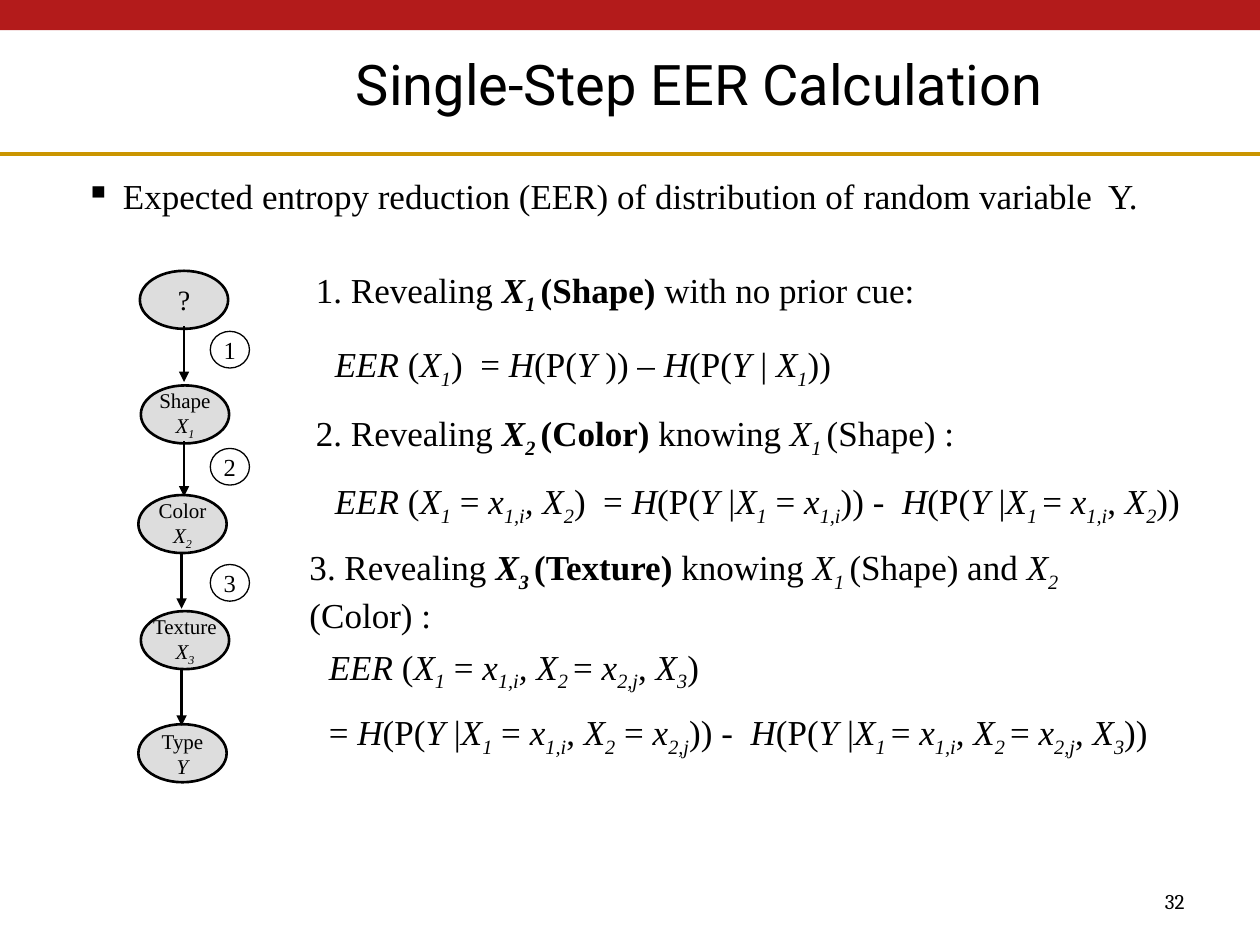
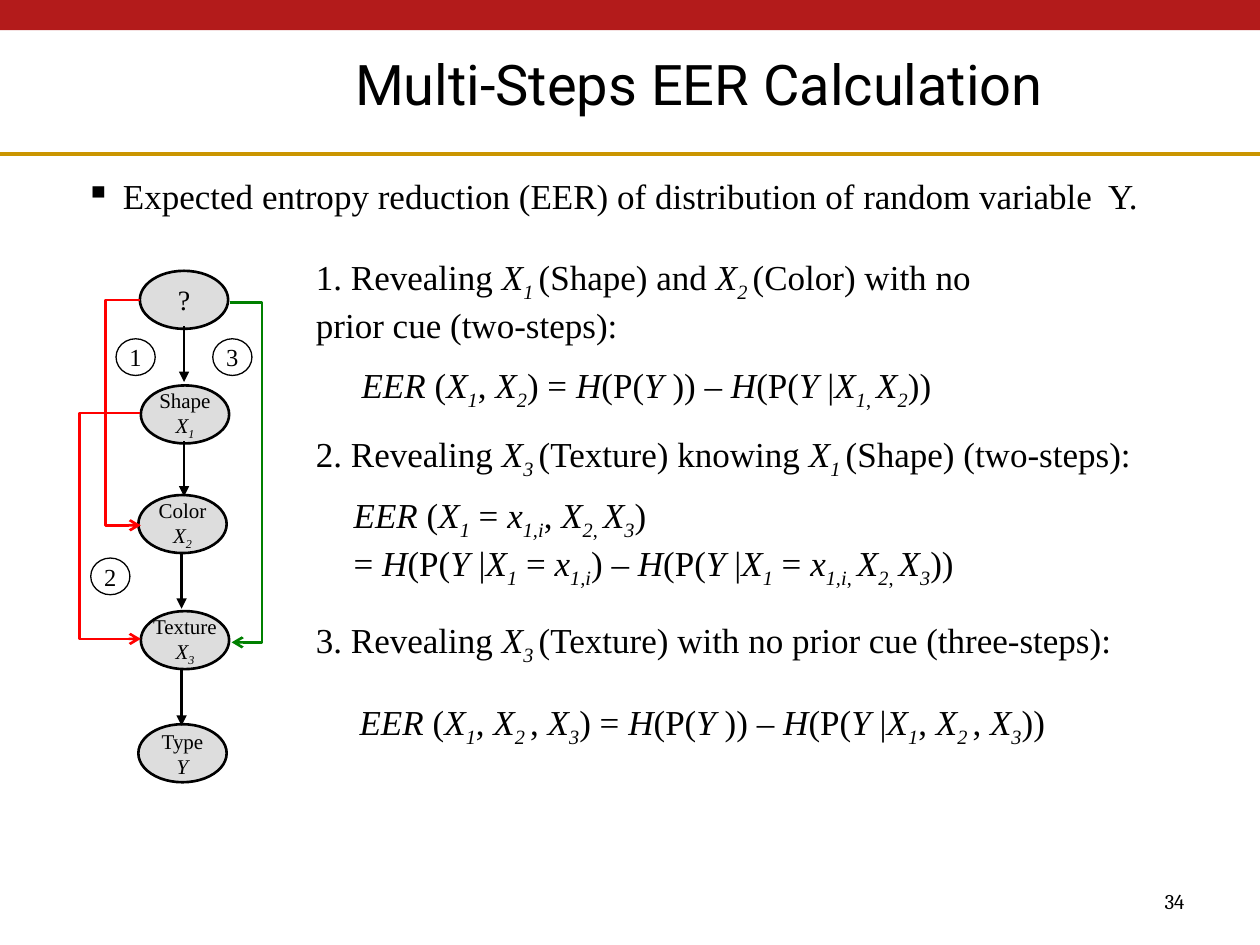
from lxml.etree import SubElement
from pptx import Presentation
from pptx.dml.color import RGBColor
from pptx.enum.shapes import MSO_CONNECTOR, MSO_SHAPE
from pptx.enum.text import MSO_ANCHOR, MSO_AUTO_SIZE, PP_ALIGN
from pptx.oxml.ns import qn
from pptx.util import Cm, Pt

BLACK = RGBColor(0x00, 0x00, 0x00)
WHITE = RGBColor(0xFF, 0xFF, 0xFF)
NODE_GRAY = RGBColor(0xDD, 0xDD, 0xDD)
BAND_RED = RGBColor(0xB3, 0x1B, 0x1B)
RULE_GOLD = RGBColor(0xCA, 0x95, 0x00)
PATH_RED = RGBColor(0xFF, 0x00, 0x00)
PATH_GREEN = RGBColor(0x00, 0x80, 0x00)

BODY_FONT = "Times New Roman"
TITLE_FONT = "Roboto"
NUMBER_FONT = "Cambria"

SLIDE_WIDTH, SLIDE_HEIGHT = 25.4, 19.05
LINE_HEIGHT = 1.12
NODE_WIDTH, NODE_HEIGHT = 1.78, 1.17
BADGE_WIDTH, BADGE_HEIGHT = 0.79, 0.74
ARROW_LENGTH = 1.12

TOPIC = "Expected entropy reduction (EER) of distribution of random variable  Y."

# Cue chain: left, top, text size, lines
NODES = [
    (2.82, 5.46, 16, ["?"]),
    (2.84, 7.77, 12, ["Shape", "*X_1_*"]),
    (2.79, 9.98, 12, ["Color", "*X_2_*"]),
    (2.84, 12.32, 12, ["Texture", "*X_3_*"]),
    (2.79, 14.6, 12, ["Type", "*Y*"]),
]
CHAIN_ARROWS = [(3.71, 6.58), (3.71, 8.89), (3.66, 11.15), (3.66, 13.51)]

# Statements and formulas: left, top, width, lines
SINGLE_STEP_TEXTS = [
    (6.12, 5.28, 14.94, ["1. Revealing ^*X_1 _*(Shape) ^with no prior cue:"]),
    (6.5, 6.78, 12, ["*EER* (*X_1_*)  = *H*(P(*Y *)) – *H*(P(*Y *| *X_1_*))"]),
    (6.12, 8.18, 17.37,
     ["2. Revealing ^*X_2 _*(Color) ^knowing *X_1 _*(Shape) :"]),
    (6.5, 9.55, 18.34,
     ["*EER* (*X_1_* = *x_1,i_, X_2_*)  = *H*(P(*Y *|*X_1_* =* x_1,i_*)) -  "
      "*H*(P(*Y *|*X_1 _*= *x_1,i_*, *X_2_*))"]),
    (5.99, 10.87, 17.37,
     ["3. Revealing ^*X_3 _*(Texture) ^knowing *X_1 _*(Shape) and "
      "*X_2 _*(Color) :"]),
    (6.38, 12.88, 17.75,
     ["*EER* (*X_1_* = *x_1,i_, X_2 _*= *x_2,j_*, *X_3_*)",
      "= *H*(P(*Y *|*X_1_* = *x_1,i_*, *X_2_* = *x_2,j_*)) -  "
      "*H*(P(*Y *|*X_1 _*= *x_1,i_*, *X_2 _*= *x_2,j_*, *X_3_*))"]),
]
MULTI_STEP_TEXTS = [
    (6.12, 5.03, 14.94,
     ["1. Revealing *X_1 _*(Shape) and *X_2 _*(Color) with no prior cue "
      "(two-steps):"]),
    (7.04, 7.21, 14,
     ["*EER* (*X_1_*, *X_2_*) = *H*(P(*Y *)) – "
      "*H*(P(*Y *|*X_1*, _*X_2_*))"]),
    (6.12, 8.59, 17.37,
     ["2. Revealing *X_3 _*(Texture) knowing *X_1 _*(Shape) (two-steps):"]),
    (6.88, 9.83, 17.75,
     ["*EER* (*X_1_* = *x_1,i_*, *X_2*, _*X_3_*)",
      "= *H*(P(*Y *|*X_1_* = *x_1,i_*) – "
      "*H*(P(*Y *|*X_1_* = *x_1,i*, _*X_2*, _*X_3_*))"]),
    (6.12, 12.34, 18.85,
     ["3. Revealing *X_3 _*(Texture) with no prior cue (three-steps):"]),
    (7, 14, 17.1,
     ["*EER* (*X_1_*, *X_2 _*, *X_3_*) = *H*(P(*Y *)) – "
      "*H*(P(*Y *|*X_1_*, *X_2 _*, *X_3_*))"]),
]

# Step badges: left, top, in step order
SINGLE_STEP_BADGES = [(4.24, 6.68), (4.24, 9.04), (4.24, 11.38)]
MULTI_STEP_BADGES = [(2.34, 6.83), (1.83, 11.25), (4.29, 6.83)]

# Skipping paths: start, end, x of the vertical part, colour
SKIP_PATHS = [
    ((2.82, 6.05), (2.84, 10.59), 2.13, PATH_RED),
    ((4.64, 6.1), (4.67, 12.95), 5.28, PATH_GREEN),
    ((2.82, 8.33), (2.84, 12.88), 1.6, PATH_RED),
]


def styled_pieces(text):
    """Split marked text: * toggles italic, ^ bold, _ subscript."""
    marks = {"*": False, "^": False, "_": False}
    piece = ""
    for letter in text:
        if letter in marks:
            if piece:
                yield piece, dict(marks)
            piece = ""
            marks[letter] = not marks[letter]
        else:
            piece += letter
    if piece:
        yield piece, marks


def write_text(shape, lines, size=20, font=BODY_FONT, align=PP_ALIGN.LEFT,
               anchor=MSO_ANCHOR.TOP, wrap=True, space_before=0, margin=None):
    frame = shape.text_frame
    frame.word_wrap = wrap
    frame.auto_size = MSO_AUTO_SIZE.NONE
    frame.vertical_anchor = anchor
    if margin is not None:
        frame.margin_left = frame.margin_right = Cm(margin)
        frame.margin_top = frame.margin_bottom = Cm(margin)
    for index, line in enumerate(lines):
        paragraph = frame.add_paragraph() if index else frame.paragraphs[0]
        paragraph.alignment = align
        paragraph.space_before = Pt(space_before if index else 0)
        for piece, marks in styled_pieces(line):
            run = paragraph.add_run()
            run.text = piece
            run.font.name = font
            run.font.size = Pt(size)
            run.font.color.rgb = BLACK
            run.font.italic = marks["*"]
            run.font.bold = marks["^"]
            if marks["_"]:
                run.font._element.set("baseline", "-25000")


def add_text(slide, left, top, width, height, lines, **text_format):
    box = slide.shapes.add_textbox(Cm(left), Cm(top), Cm(width), Cm(height))
    write_text(box, lines, **text_format)
    return box


def add_filled(slide, kind, left, top, width, height, fill, line_width=None):
    shape = slide.shapes.add_shape(kind, Cm(left), Cm(top), Cm(width), Cm(height))
    shape.shadow.inherit = False
    shape.fill.solid()
    shape.fill.fore_color.rgb = fill
    if line_width:
        shape.line.color.rgb = BLACK
        shape.line.width = Pt(line_width)
    else:
        shape.line.fill.background()
    return shape


def add_ellipse(slide, left, top, width, height, fill, line_width, lines, size):
    ellipse = add_filled(slide, MSO_SHAPE.OVAL, left, top, width, height,
                         fill, line_width)
    write_text(ellipse, lines, size=size, align=PP_ALIGN.CENTER,
               anchor=MSO_ANCHOR.MIDDLE, wrap=False, margin=0)


def add_line(slide, start, end, color=BLACK, width=1.5, arrowhead=None, elbow_x=None):
    kind = MSO_CONNECTOR.STRAIGHT if elbow_x is None else MSO_CONNECTOR.ELBOW
    connector = slide.shapes.add_connector(
        kind, Cm(start[0]), Cm(start[1]), Cm(end[0]), Cm(end[1]))
    connector.line.color.rgb = color
    connector.line.width = Pt(width)
    if elbow_x is not None:
        connector_width = end[0] - start[0]
        ratio = round((elbow_x - start[0]) / connector_width * 100000)
        guides = connector._element.spPr.find(qn("a:prstGeom")).get_or_add_avLst()
        SubElement(guides, qn("a:gd"), name="adj1", fmla=f"val {ratio}")
    if arrowhead:
        SubElement(connector.line._get_or_add_ln(), qn("a:tailEnd"), type=arrowhead)
    SubElement(connector._element.spPr, qn("a:effectLst"))


def add_topic(slide):
    box = add_text(slide, 1.47, 3.4, 22.02, LINE_HEIGHT, [TOPIC],
                   align=PP_ALIGN.JUSTIFY)
    properties = box.text_frame.paragraphs[0]._p.get_or_add_pPr()
    properties.set("marL", str(Cm(0.76)))
    properties.set("indent", str(-Cm(0.76)))
    SubElement(properties, qn("a:buChar"), char="▪")


def add_cue_chain(slide):
    for left, top, size, lines in NODES:
        add_ellipse(slide, left, top, NODE_WIDTH, NODE_HEIGHT, NODE_GRAY, 1.5,
                    lines, size)
    for x, y in CHAIN_ARROWS:
        add_line(slide, (x, y), (x, y + ARROW_LENGTH), arrowhead="triangle")


def add_badges(slide, positions):
    for step, (left, top) in enumerate(positions, 1):
        add_ellipse(slide, left, top, BADGE_WIDTH, BADGE_HEIGHT, WHITE, 0.75,
                    [str(step)], 14)


def add_eer_slide(presentation, title, number, badges, texts, spacing=0):
    slide = presentation.slides.add_slide(presentation.slide_layouts[5])
    # Band, rule and slide number
    add_filled(slide, MSO_SHAPE.RECTANGLE, 0, 0, SLIDE_WIDTH, 0.61, BAND_RED)
    add_line(slide, (0, 3.1), (SLIDE_WIDTH, 3.1), RULE_GOLD, 2.25)
    add_text(slide, 18.21, 17.65, 5.92, 1.02, [number], size=12,
             font=NUMBER_FONT, align=PP_ALIGN.RIGHT, anchor=MSO_ANCHOR.MIDDLE)
    # Title
    heading = slide.shapes.title
    heading.left, heading.top = Cm(3.66), Cm(0.48)
    heading.width, heading.height = Cm(21.16), Cm(2.41)
    write_text(heading, [title], size=32, font=TITLE_FONT,
               align=PP_ALIGN.CENTER, anchor=MSO_ANCHOR.MIDDLE)
    # Content
    add_topic(slide)
    add_cue_chain(slide)
    add_badges(slide, badges)
    for left, top, width, lines in texts:
        add_text(slide, left, top, width, LINE_HEIGHT * len(lines), lines,
                 space_before=spacing)
    return slide


def main():
    presentation = Presentation()
    presentation.slide_width = Cm(SLIDE_WIDTH)
    presentation.slide_height = Cm(SLIDE_HEIGHT)

    add_eer_slide(presentation, "Single-Step EER Calculation ", "32",
                  SINGLE_STEP_BADGES, SINGLE_STEP_TEXTS, spacing=10)
    multi_step = add_eer_slide(presentation, "Multi-Steps EER Calculation ", "34",
                               MULTI_STEP_BADGES, MULTI_STEP_TEXTS)
    for start, end, elbow_x, color in SKIP_PATHS:
        add_line(multi_step, start, end, color, arrowhead="arrow", elbow_x=elbow_x)

    presentation.save("out.pptx")


if __name__ == "__main__":
    main()
